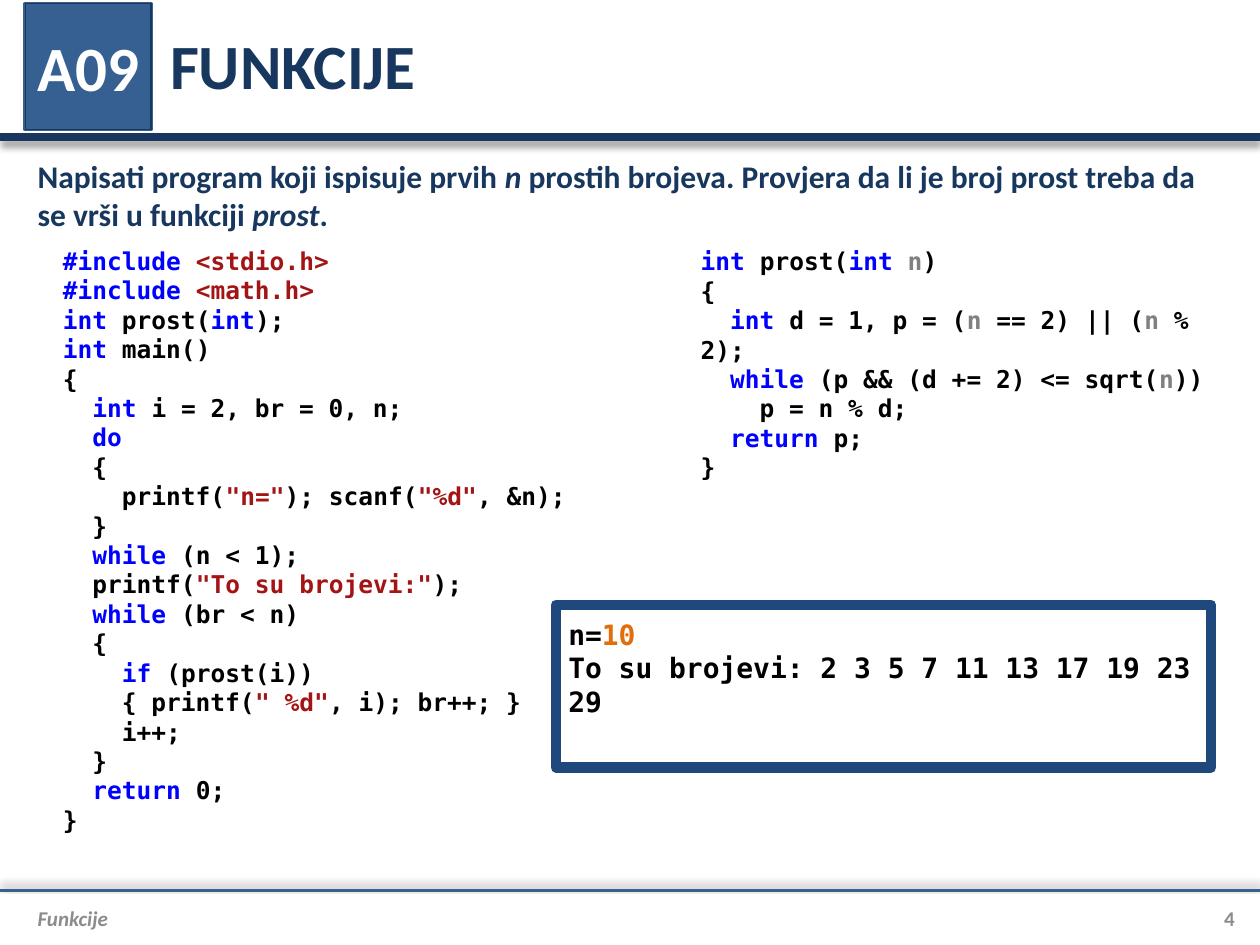
from dataclasses import dataclass

from lxml import etree
from pptx import Presentation
from pptx.dml.color import RGBColor
from pptx.enum.shapes import MSO_CONNECTOR, MSO_SHAPE
from pptx.enum.text import MSO_ANCHOR, MSO_AUTO_SIZE, PP_ALIGN
from pptx.oxml.ns import qn
from pptx.util import Pt

LEFT, MID, RIGHT = PP_ALIGN.LEFT, PP_ALIGN.CENTER, PP_ALIGN.RIGHT
TOP, MIDDLE = MSO_ANCHOR.TOP, MSO_ANCHOR.MIDDLE
NONE = MSO_AUTO_SIZE.NONE
RECT, LINE = MSO_SHAPE.RECTANGLE, MSO_CONNECTOR.STRAIGHT
SANS, MONO = "Calibri", "DejaVu Sans Mono"
NAVY, BLUE, GRAY, BLACK, WHITE = "17375E", "376092", "8C8C8C", "000000", "FFFFFF"
WIDE, HIGH = 720, 540
MARK = "¦"
TINTS = {"k": "0000FF", "s": "A31515", "p": "808080", "o": "E46C0A"}
INSET = (7.2, 3.6, 7.2, 3.6)


@dataclass
class Rule:
    y: float
    color: str
    width: float
    angle: int


@dataclass
class Box:
    x: float
    y: float
    w: float
    h: float
    fill: str
    line: str
    width: float


@dataclass
class Label:
    x: float
    y: float
    w: float
    h: float
    text: str
    fmt: dict


def paint(code: str) -> RGBColor:
    return RGBColor.from_string(code)


def write(frame, text: str, *, size=14, font=SANS, color=BLACK, italic=False,
          align=LEFT, anchor=TOP, inset=INSET) -> None:
    frame.word_wrap = True
    frame.auto_size = NONE
    frame.vertical_anchor = anchor
    (frame.margin_left, frame.margin_top,
     frame.margin_right, frame.margin_bottom) = map(Pt, inset)
    for row, line in enumerate(text.split("\n")):
        para = frame.paragraphs[0] if row == 0 else frame.add_paragraph()
        para.alignment = align
        for turn, part in enumerate(line.split(MARK)):
            if not part:
                continue
            tag, part = (part[0], part[1:]) if turn % 2 else ("", part)
            run = para.add_run()
            run.text = part
            face = run.font
            face.name, face.size, face.bold = font, Pt(size), True
            face.italic = italic or tag == "i"
            face.color.rgb = paint(TINTS.get(tag, color))


def draw_rule(slide, rule: Rule) -> None:
    line = slide.shapes.add_connector(LINE, Pt(0), Pt(rule.y), Pt(WIDE), Pt(rule.y))
    line.line.color.rgb = paint(rule.color)
    line.line.width = Pt(rule.width)
    glow = etree.SubElement(line._element.spPr, qn("a:effectLst"))
    shade = etree.SubElement(glow, qn("a:outerShdw"), blurRad=str(Pt(4)),
                             dist=str(Pt(3)), dir=str(rule.angle * 60000),
                             rotWithShape="0")
    tint = etree.SubElement(shade, qn("a:srgbClr"), val=BLACK)
    etree.SubElement(tint, qn("a:alpha"), val="40000")


def draw_box(slide, box: Box):
    shape = slide.shapes.add_shape(RECT, Pt(box.x), Pt(box.y), Pt(box.w), Pt(box.h))
    shape.shadow.inherit = False
    shape.fill.solid()
    shape.fill.fore_color.rgb = paint(box.fill)
    shape.line.color.rgb = paint(box.line)
    shape.line.width = Pt(box.width)
    return shape


def draw_label(slide, label: Label) -> None:
    shape = slide.shapes.add_textbox(Pt(label.x), Pt(label.y), Pt(label.w), Pt(label.h))
    write(shape.text_frame, label.text, **label.fmt)


TASK = ("Napisati program koji ispisuje prvih ¦in¦ prostih brojeva. "
        "Provjera da li je broj prost treba da se vrši u funkciji ¦iprost¦.")

MAIN = """¦k#include¦ ¦s<stdio.h>¦
¦k#include¦ ¦s<math.h>¦
¦kint¦ prost(¦kint¦);
¦kint¦ main()
{
  ¦kint¦ i = 2, br = 0, n;
  ¦kdo¦
  {
    printf(¦s"n="¦); scanf(¦s"%d"¦, &n);
  }
  ¦kwhile¦ (n < 1);
  printf(¦s"To su brojevi:"¦);
  ¦kwhile¦ (br < n)
  {
    ¦kif¦ (prost(i))
    { printf(¦s" %d"¦, i); br++; }
    i++;
  }
  ¦kreturn¦ 0;
}"""

PRIME = """¦kint¦ prost(¦kint¦ ¦pn¦)
{
  ¦kint¦ d = 1, p = (¦pn¦ == 2) || (¦pn¦ % 2);
  ¦kwhile¦ (p && (d += 2) <= sqrt(¦pn¦))
    p = n % d;
  ¦kreturn¦ p;
}"""

OUTPUT = "n=¦o10¦\nTo su brojevi: 2 3 5 7 11 13 17 19 23 29"

RULES = [Rule(78.4, NAVY, 4.5, 90), Rule(509, BLUE, 1.5, 270)]
FRAME = Box(14.4, 2, 72, 72, "4F81BD", "3A5F8C", 2)
BADGE = Box(14.4, 2, 72, 72, BLUE, NAVY, 0.75)
SCREEN = Box(317.7, 345.6, 374.4, 92.9, WHITE, "1F497D", 6)
FOOT = dict(size=12, color=GRAY, anchor=MIDDLE)
CODE = dict(font=MONO)
LABELS = [
    Label(14.4, 512, 655.2, 25.2, "Funkcije",
          dict(FOOT, italic=True, inset=(7.2, 0, 0, 0))),
    Label(669.6, 512, 36, 25.2, "4", dict(FOOT, align=RIGHT, inset=(0, 0, 0, 0))),
    Label(14.4, 86.4, 691.2, 51, TASK, dict(size=18, color=NAVY)),
    Label(28.8, 137, 322, 346, MAIN, CODE),
    Label(393.3, 137.2, 316.8, 126, PRIME, CODE),
]


def main() -> None:
    deck = Presentation()
    deck.slide_width, deck.slide_height = Pt(WIDE), Pt(HIGH)
    slide = deck.slides.add_slide(deck.slide_layouts[5])
    title = slide.shapes.title
    title.left, title.top, title.width, title.height = map(Pt, (90, 0.7, 615.6, 72))
    write(title.text_frame, "FUNKCIJE", size=36, color=NAVY, anchor=MIDDLE)
    for rule in RULES:
        draw_rule(slide, rule)
    draw_box(slide, FRAME)
    badge = draw_box(slide, BADGE)
    write(badge.text_frame, "A09", size=36, color=WHITE, align=MID,
          anchor=MIDDLE, inset=(0, 0, 0, 0))
    for label in LABELS:
        draw_label(slide, label)
    screen = draw_box(slide, SCREEN)
    write(screen.text_frame, OUTPUT, size=16, font=MONO, inset=(7.2,) * 4)
    deck.save("out.pptx")


if __name__ == "__main__":
    main()
